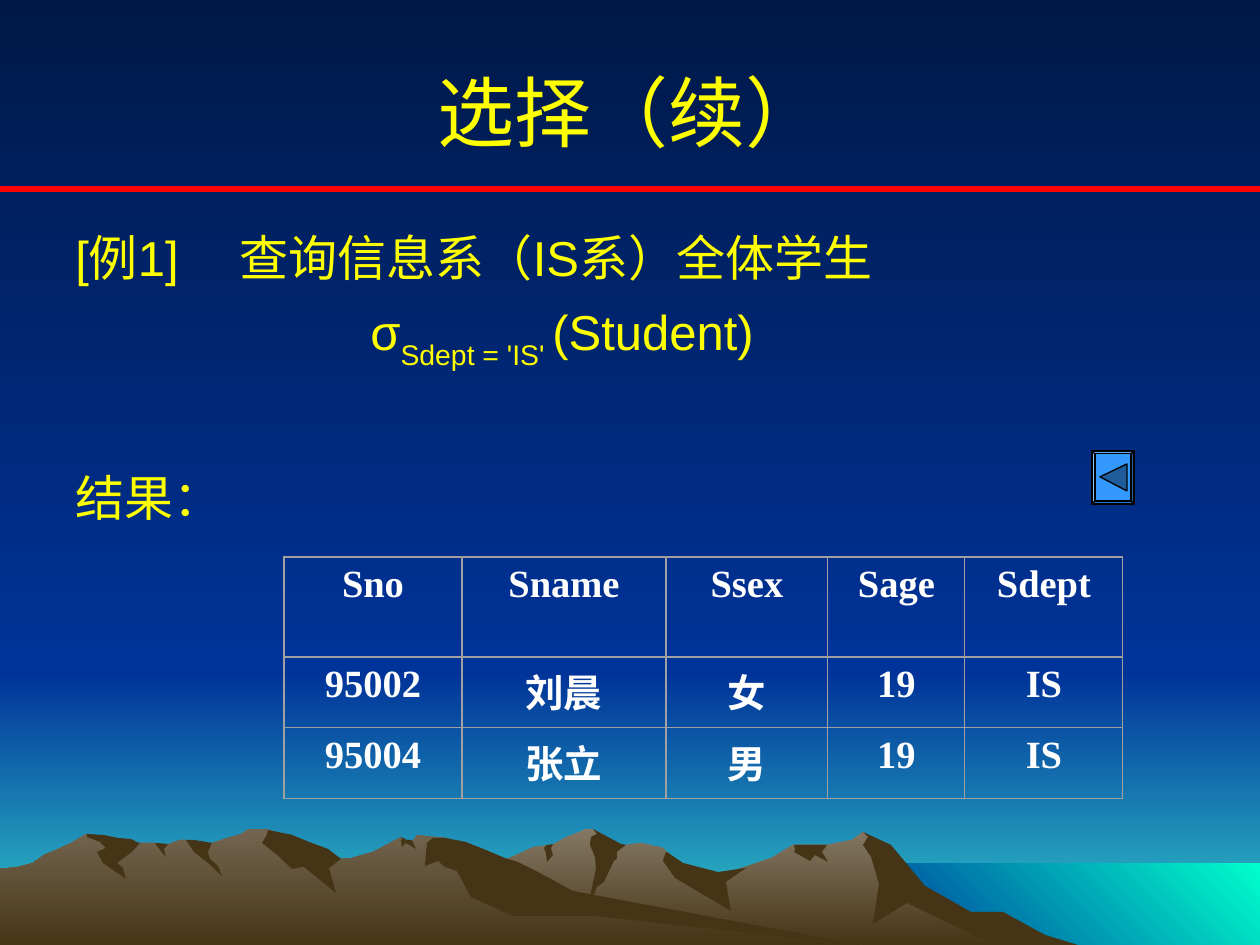
from itertools import accumulate
from lxml.etree import SubElement
from pptx import Presentation
from pptx.dml.color import RGBColor
from pptx.enum.shapes import MSO_CONNECTOR, MSO_SHAPE
from pptx.enum.text import MSO_ANCHOR, PP_ALIGN
from pptx.oxml.ns import qn
from pptx.util import Inches, Pt

PX = Inches(1) // 126
NIGHT = RGBColor(0x00, 0x18, 0x47)
BLUE = RGBColor(0x00, 0x33, 0x99)
TEAL = RGBColor(0x33, 0xCC, 0xCC)
MINT = RGBColor(0x00, 0xFF, 0xCC)
STONE = RGBColor(0x84, 0x78, 0x64)
CLAY = RGBColor(0x73, 0x65, 0x4F)
EARTH = RGBColor(0x46, 0x34, 0x16)
RED = RGBColor(0xFF, 0x00, 0x00)
YELLOW = RGBColor(0xFF, 0xFF, 0x00)
WHITE = RGBColor(0xFF, 0xFF, 0xFF)
GREY = RGBColor(0xA0, 0xA0, 0xA0)
BLACK = RGBColor(0x00, 0x00, 0x00)
SKY = RGBColor(0x33, 0x99, 0xFF)
NAVY = RGBColor(0x1F, 0x5C, 0x99)

# Ridge outlines and their dark faces, measured from the top left of the hills
RIGHT = [(1011, 103), (980, 87), (963, 82), (911, 50), (885, 16), (863, 3), (852, 11),
         (827, 16), (793, 16), (772, 29), (713, 49), (675, 40), (667, 23), (663, 19),
         (641, 14), (626, 16), (612, 19), (597, 4), (593, 0), (586, 0), (567, 8),
         (552, 16), (534, 18), (510, 29), (496, 34), (447, 50), (412, 64), (349, 102),
         (325, 117), (1034, 117)]
LEFT = [(869, 117), (840, 113), (544, 68), (446, 9), (417, 6), (412, 13), (407, 13),
        (401, 8), (373, 23), (352, 29), (341, 30), (328, 23), (297, 29), (281, 6),
        (276, 3), (267, 0), (248, 0), (241, 5), (227, 9), (212, 14), (202, 16),
        (186, 11), (180, 11), (166, 16), (161, 16), (155, 14), (140, 14), (118, 16),
        (86, 5), (71, 14), (58, 20), (44, 26), (33, 34), (18, 38), (0, 40), (0, 117)]
RIGHT_FACES = [
    [(1003, 83), (971, 83), (925, 57), (891, 16), (863, 3), (868, 8), (863, 16), (871, 28),
     (879, 55), (873, 95), (907, 74), (998, 118), (1081, 117), (1045, 106)],
    [(593, 0), (597, 5), (591, 8), (590, 16), (595, 28), (596, 40), (586, 87), (597, 58),
     (604, 53), (614, 32), (617, 30), (617, 23), (626, 16), (621, 15)],
    [(667, 23), (665, 25), (663, 32), (675, 49), (731, 82), (726, 53), (746, 39), (718, 43),
     (683, 34)],
    [(819, 16), (794, 16), (795, 21), (794, 23), (810, 32), (815, 26), (828, 33), (822, 23),
     (827, 16)],
    [(546, 24), (544, 19), (547, 16), (553, 15), (551, 19), (553, 26), (547, 33)],
]
LEFT_FACES = [
    [(267, 6), (262, 14), (276, 25), (292, 40), (304, 38), (336, 64), (329, 39), (341, 30),
     (328, 20), (309, 13), (292, 6), (268, 1)],
    [(466, 13), (446, 9), (433, 9), (427, 14), (425, 37), (438, 32), (445, 38), (457, 42),
     (471, 68), (513, 87), (595, 87), (869, 117), (861, 116), (573, 62), (538, 43),
     (518, 33), (505, 29), (486, 21)],
    [(401, 11), (403, 10), (401, 8), (407, 11), (412, 11), (416, 20), (406, 14), (402, 18)],
    [(194, 11), (212, 14), (208, 23), (210, 30), (218, 37), (222, 47), (208, 34), (194, 23),
     (186, 11)],
    [(168, 15), (164, 20), (166, 28), (160, 21), (155, 14)],
    [(137, 13), (140, 14), (132, 23), (117, 34), (123, 39), (126, 50), (103, 34), (97, 23),
     (106, 19), (100, 13), (87, 8), (87, 5), (104, 6), (118, 9), (131, 10)],
]


def blend(fill, first, last, angle=270):
    fill.gradient()
    fill.gradient_angle = angle
    for stop, tone in zip(fill.gradient_stops, (first, last)):
        stop.color.rgb = tone


def paint(shape, *tones, angle=270, edge=None):
    """One tone gives a solid fill, two give a gradient."""
    shape.shadow.inherit = False
    if len(tones) == 2:
        blend(shape.fill, *tones, angle)
    else:
        shape.fill.solid()
        shape.fill.fore_color.rgb = tones[0]
    if edge is None:
        shape.line.fill.background()
    else:
        shape.line.color.rgb = edge
        shape.line.width = Pt(0.75)
    return shape


def place(kind, x, y, w, h):
    return slide.shapes.add_shape(kind, x * PX, y * PX, w * PX, h * PX)


def trace(x, y, points):
    pen = slide.shapes.build_freeform(*points[0], scale=PX)
    pen.add_line_segments(points[1:], close=True)
    return pen.convert_to_shape(x * PX, y * PX)


def write(frame, text, size, font, tone, bold=False):
    """Fill a paragraph and format its runs."""
    frame.text = text
    for run in frame.runs:
        run.font.size, run.font.name, run.font.bold = Pt(size), font, bold
        run.font.color.rgb = tone


def add_box(x, y, w, h):
    frame = slide.shapes.add_textbox(x * PX, y * PX, w * PX, h * PX).text_frame
    frame.word_wrap = True
    return frame


def add_scene(x, y, w, h):
    # Sky, haze and sea
    split, shore, coast = 672, 863, 861
    paint(place(MSO_SHAPE.RECTANGLE, x, y + split, w, h - split), BLUE, TEAL)
    paint(place(MSO_SHAPE.RECTANGLE, x, y, w, split), NIGHT, BLUE)
    paint(place(MSO_SHAPE.RECTANGLE, x + coast, y + shore, w - coast, h - shore),
          BLUE, MINT, angle=45)
    # Hills
    top = y + 829
    for ridge, light, faces in ((RIGHT, STONE, RIGHT_FACES), (LEFT, CLAY, LEFT_FACES)):
        paint(trace(x, top, ridge), light, EARTH)
        for face in faces:
            paint(trace(x, top, face), EARTH)


def add_title(x, y, w, h):
    frame = add_box(x, y, w, h)
    frame.vertical_anchor = MSO_ANCHOR.MIDDLE
    line = frame.paragraphs[0]
    line.alignment = PP_ALIGN.CENTER
    write(line, "选择（续）", 44, "Arial", YELLOW)


def add_rule(x, y, w):
    rule = slide.shapes.add_connector(MSO_CONNECTOR.STRAIGHT, x * PX, y * PX,
                                      (x + w) * PX, y * PX)
    rule.line.color.rgb = RED
    rule.line.width = Pt(3.5)
    SubElement(rule._element.spPr, qn("a:effectLst"))


def add_body(x, y, w, h):
    frame = add_box(x, y, w, h)
    task, query, result = [frame.paragraphs[0]] + [frame.add_paragraph() for _ in range(2)]
    # Task, with a tab stop after its number
    write(task, "[例1]\t查询信息系（IS系）全体学生", 28, "Arial", YELLOW)
    task.space_before = Pt(9)
    stops = SubElement(task._p.get_or_add_pPr(), qn("a:tabLst"))
    SubElement(stops, qn("a:tab"), pos=str(164 * PX), algn="l")
    # Query, indented, with a lowered condition
    for part in ("σ", "Sdept = 'IS' ", "(Student)"):
        run = query.add_run()
        run.text = part
        run.font.size, run.font.name = Pt(28), "Arial"
        run.font.color.rgb = YELLOW
    query.runs[1].font._element.set("baseline", "-30000")
    query.space_before = Pt(9)
    query._p.get_or_add_pPr().set("marL", str(295 * PX))
    # Result label
    write(result, "结果：", 28, "Arial", YELLOW)
    result.space_before = Pt(55)


def add_border(cell):
    props = cell._tc.get_or_add_tcPr()
    for spot, side in enumerate(("a:lnL", "a:lnR", "a:lnT", "a:lnB")):
        line = props.makeelement(qn(side), {"w": str(Pt(0.75))})
        props.insert(spot, line)
        SubElement(SubElement(line, qn("a:solidFill")), qn("a:srgbClr"), val=str(GREY))


def add_grid(x, y, widths, heights, rows):
    grid = slide.shapes.add_table(len(rows), len(widths), x * PX, y * PX,
                                  sum(widths) * PX, sum(heights) * PX).table
    grid.first_row = grid.horz_banding = False
    for col, width in zip(grid.columns, widths):
        col.width = width * PX
    for row, height, words in zip(grid.rows, heights, rows):
        row.height = height * PX
        for cell, word in zip(row.cells, words):
            cell.fill.background()
            add_border(cell)
            line = cell.text_frame.paragraphs[0]
            line.alignment = PP_ALIGN.CENTER
            write(line, word, 22, "Times New Roman", WHITE, bold=True)


def add_button(x, y, w, h):
    bevel = paint(place(MSO_SHAPE.BEVEL, x, y, w, h), SKY, edge=BLACK)
    bevel.adjustments[0] = 0.07
    paint(trace(x, y, [(8, h // 2), (35, 13), (35, 40)]), NAVY, edge=BLACK)


deck = Presentation()
deck.slide_width, deck.slide_height = 1260 * PX, 945 * PX
slide = deck.slides.add_slide(deck.slide_layouts[6])
blend(slide.background.fill, NIGHT, BLUE)
add_scene(0, 0, 1260, 945)
add_rule(0, 189, 1260)
add_title(63, 32, 1134, 157)
add_body(63, 221, 1134, 321)
add_grid(284, 557, (178, 204, 162, 137, 158), (100, 71, 71), (
    ("Sno", "Sname", "Ssex", "Sage", "Sdept"),
    ("95002", "刘晨", "女", "19", "IS"),
    ("95004", "张立", "男", "19", "IS")))
add_button(1092, 451, 42, 53)
deck.save("out.pptx")
